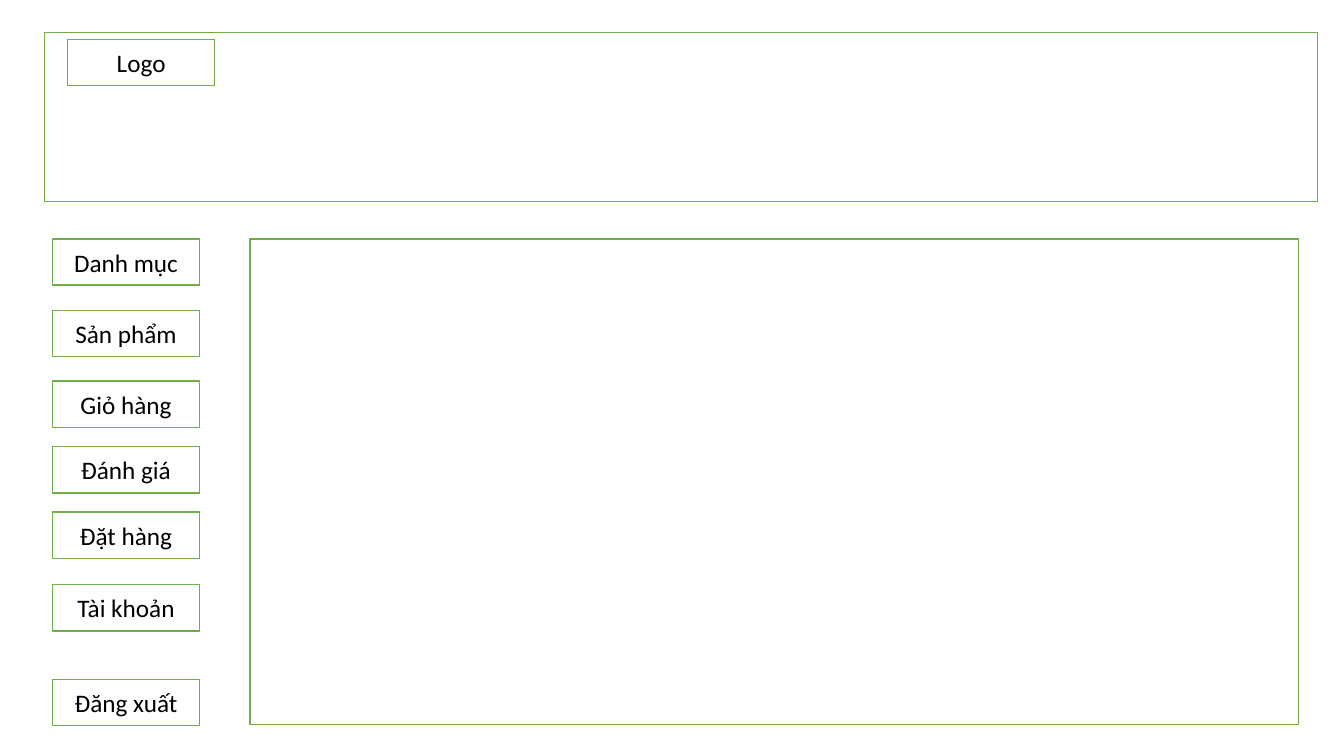
from pptx import Presentation
from pptx.dml.color import RGBColor
from pptx.enum.shapes import MSO_SHAPE
from pptx.enum.text import MSO_ANCHOR, PP_ALIGN
from pptx.util import Inches, Pt

RECTANGLE = MSO_SHAPE.RECTANGLE
MIDDLE = MSO_ANCHOR.MIDDLE
CENTER = PP_ALIGN.CENTER

SLIDE_WIDTH, SLIDE_HEIGHT = 13.33, 7.5
WHITE, GREEN, BLACK = "FFFFFF", "70AD47", "000000"
FONT = "Calibri"

# Page grid, in inches
BUTTON_WIDTH, BUTTON_HEIGHT = 1.46, 0.46
MENU_LEFT = 0.52
BODY_TOP = 2.37
# Menu labels with the top of each row; the rows are unevenly spaced
MENU = [
    ("Danh mục", BODY_TOP),
    ("Sản phẩm", 3.08),
    ("Giỏ hàng", 3.78),
    ("Đánh giá", 4.43),
    ("Đặt hàng", 5.08),
    ("Tài khoản", 5.8),
    ("Đăng xuất", 6.74),
]


def color(hex_value):
    return RGBColor.from_string(hex_value)


def add_panel(slide, left, top, width, height):
    """Add a white rectangle with a thin green outline."""
    shape = slide.shapes.add_shape(
        RECTANGLE, Inches(left), Inches(top), Inches(width), Inches(height))
    shape.shadow.inherit = False
    shape.fill.solid()
    shape.fill.fore_color.rgb = color(WHITE)
    shape.line.color.rgb = color(GREEN)
    shape.line.width = Pt(1)
    return shape


def add_button(slide, label, left, top):
    """Add a panel of button size with a centred label."""
    shape = add_panel(slide, left, top, BUTTON_WIDTH, BUTTON_HEIGHT)
    frame = shape.text_frame
    frame.word_wrap = True
    frame.vertical_anchor = MIDDLE
    paragraph = frame.paragraphs[0]
    paragraph.alignment = CENTER
    run = paragraph.add_run()
    run.text = label
    run.font.name = FONT
    run.font.size = Pt(18)
    run.font.color.rgb = color(BLACK)


def main():
    presentation = Presentation()
    presentation.slide_width = Inches(SLIDE_WIDTH)
    presentation.slide_height = Inches(SLIDE_HEIGHT)
    slide = presentation.slides.add_slide(presentation.slide_layouts[6])

    # Header with the logo button
    add_panel(slide, 0.44, 0.32, 12.63, 1.68)
    add_button(slide, "Logo", 0.67, 0.39)

    # Side menu
    for label, top in MENU:
        add_button(slide, label, MENU_LEFT, top)

    # Content area
    add_panel(slide, 2.48, BODY_TOP, 10.4, 4.82)

    presentation.save("out.pptx")


if __name__ == "__main__":
    main()
